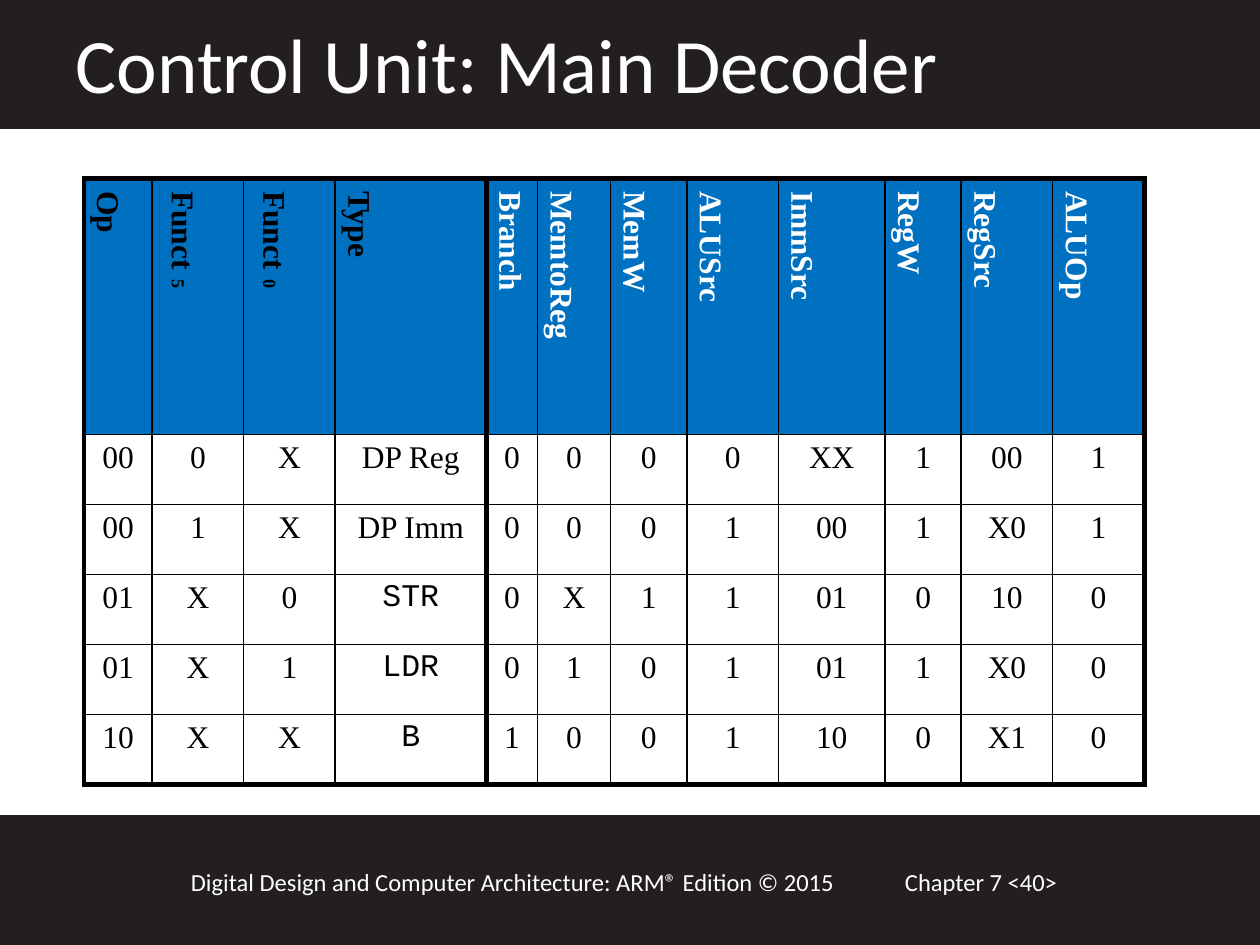
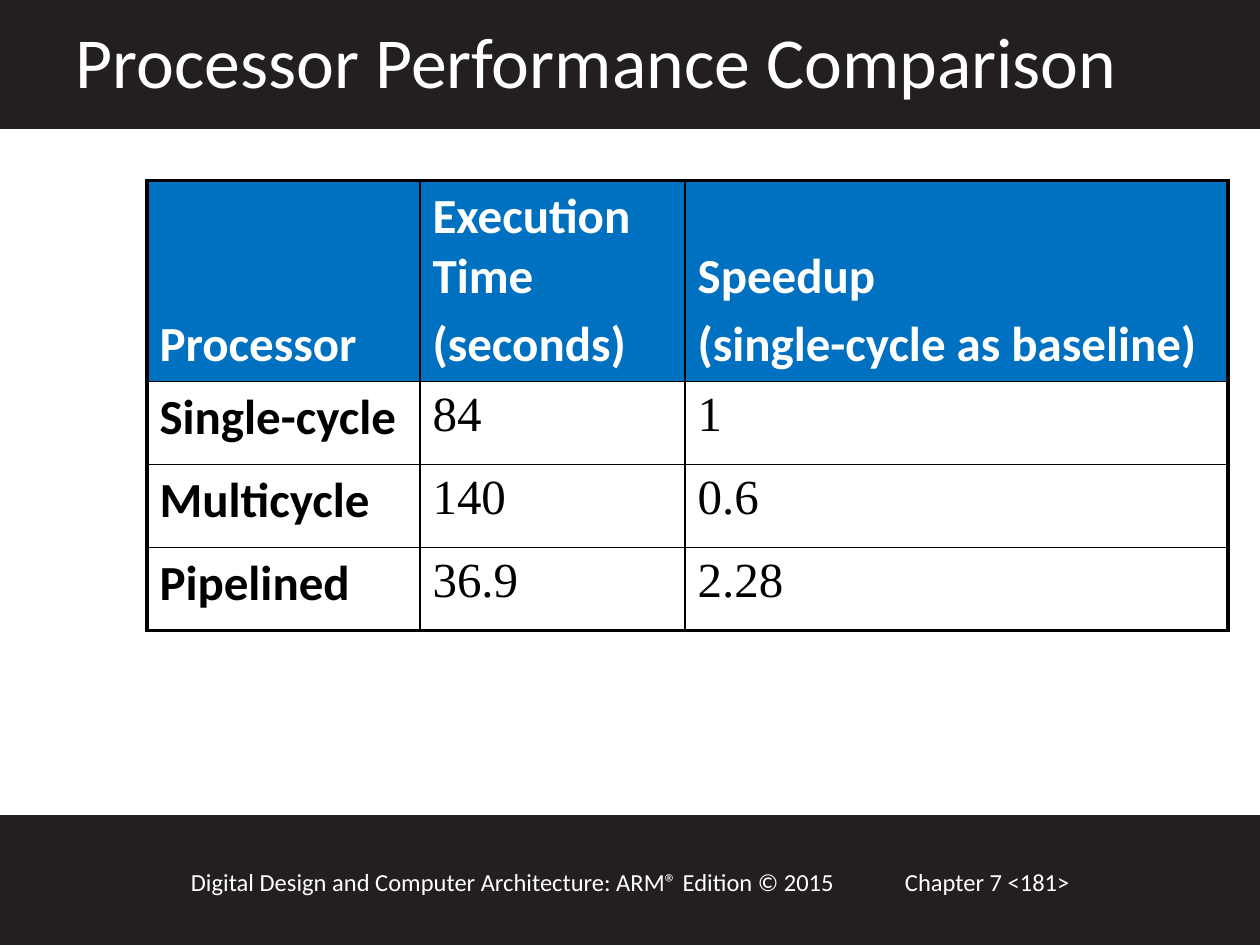
from lxml.etree import SubElement
from pptx import Presentation
from pptx.dml.color import RGBColor
from pptx.enum.shapes import MSO_SHAPE as Shape
from pptx.enum.text import MSO_ANCHOR as Anchor, PP_ALIGN as Align
from pptx.oxml.ns import qn
from pptx.util import Pt

BAND, WHITE, BLACK, BLUE = "231F20", "FFFFFF", "000000", "0070C0"
SANS, SERIF, MONO = "Calibri", "Times New Roman", "Courier New"
BOOK = "Digital Design and Computer Architecture: ARM® Edition © 2015"
BAND_TOPS = (0, 466.6)
BAND_HEIGHT = 72.7

DECODER = {
    "title": "Control Unit: Main Decoder",
    "title_size": 44,
    "page": 40,
    "corner": (48, 102),
    "widths": (39, 52.3, 52.3, 86.3, 29.3, 41.8, 43.6, 52.3, 61, 43.5, 52.3, 52.3),
    "heights": (146, 40, 40, 40, 40, 40),
    "frame": 3,
    "dividers": (4,),
    "rows": [
        ["Op", "Funct_5", "Funct_0", "Type", "Branch", "MemtoReg", "MemW",
         "ALUSrc", "ImmSrc", "RegW", "RegSrc", "ALUOp"],
        ["00", "0", "X", "DP Reg", "0", "0", "0", "0", "XX", "1", "00", "1"],
        ["00", "1", "X", "DP Imm", "0", "0", "0", "1", "00", "1", "X0", "1"],
        ["01", "X", "0", "STR", "0", "X", "1", "1", "01", "0", "10", "0"],
        ["01", "X", "1", "LDR", "0", "1", "0", "1", "01", "1", "X0", "0"],
        ["10", "X", "X", "B", "1", "0", "0", "1", "10", "0", "X1", "0"],
    ],
}
INPUT_COLUMNS = 4
MNEMONICS = ("STR", "LDR", "B")

PERFORMANCE = {
    "title": "Processor Performance Comparison",
    "title_size": 41,
    "page": 181,
    "corner": (84, 103),
    "widths": (156, 151.5, 310.3),
    "heights": (91.5, 47.5, 47.5, 47.5),
    "frame": 2.25,
    "dividers": (),
    "rows": [
        ["Processor", "Execution Time\n(seconds)", "Speedup\n(single-cycle as baseline)"],
        ["Single-cycle", "84", "1"],
        ["Multicycle", "140", "0.6"],
        ["Pipelined", "36.9", "2.28"],
    ],
}


def rgb(color):
    return RGBColor.from_string(color)


def add_run(paragraph, text, size, font, color, bold=False):
    run = paragraph.add_run()
    run.text = text
    run.font.size = Pt(size)
    run.font.name = font
    run.font.bold = bold
    run.font.color.rgb = rgb(color)
    return run


def add_band(slide, top):
    band = slide.shapes.add_shape(Shape.RECTANGLE, 0, Pt(top), Pt(720), Pt(BAND_HEIGHT))
    band.shadow.inherit = False
    band.fill.solid()
    band.fill.fore_color.rgb = rgb(BAND)
    band.line.color.rgb = rgb(BAND)
    band.line.width = Pt(2)


def add_footer(slide, text, left, width):
    footer = slide.shapes.add_textbox(Pt(left), Pt(491.8), Pt(width), Pt(24.2))
    footer.text_frame.word_wrap = True
    add_run(footer.text_frame.paragraphs[0], text, 14, SANS, WHITE)


def add_slide(deck, content):
    slide = deck.slides.add_slide(deck.slide_layouts[5])
    for top in BAND_TOPS:
        add_band(slide, top)
    add_footer(slide, f"Chapter 7 <{content['page']}>", 510, 156)
    add_footer(slide, BOOK, 102, 414)
    title = slide.shapes.title
    slide.shapes.element.append(title.element)
    title.left, title.top, title.width, title.height = Pt(36), Pt(6), Pt(624), Pt(60)
    title.text_frame.vertical_anchor = Anchor.TOP
    heading = title.text_frame.paragraphs[0]
    heading.alignment = Align.LEFT
    add_run(heading, content["title"], content["title_size"], SANS, WHITE)
    return slide


def set_border(cell, side, width):
    line = SubElement(cell._tc.get_or_add_tcPr(), qn(f"a:ln{side}"), w=str(Pt(width)))
    SubElement(SubElement(line, qn("a:solidFill")), qn("a:srgbClr"), val=BLACK)


def add_grid(slide, content, write_cell):
    rows, widths, heights = content["rows"], content["widths"], content["heights"]
    left, top = content["corner"]
    grid = slide.shapes.add_table(len(rows), len(widths), Pt(left), Pt(top),
                                  Pt(sum(widths)), Pt(sum(heights))).table
    grid.first_row = grid.horz_banding = False
    for column, width in zip(grid.columns, widths):
        column.width = Pt(width)
    for row, height in zip(grid.rows, heights):
        row.height = Pt(height)
    thick_x = {0, len(widths), *content["dividers"]}
    thick_y = {0, len(rows)}
    for r, row in enumerate(rows):
        for c, text in enumerate(row):
            cell = grid.cell(r, c)
            for side, thick in (("L", c in thick_x), ("R", c + 1 in thick_x),
                                ("T", r in thick_y), ("B", r + 1 in thick_y)):
                set_border(cell, side, content["frame"] if thick else 1)
            if r == 0:
                cell.fill.solid()
                cell.fill.fore_color.rgb = rgb(BLUE)
            else:
                cell.fill.background()
            write_cell(cell, text, r, c)


def write_decoder_cell(cell, text, r, c):
    paragraph = cell.text_frame.paragraphs[0]
    properties = paragraph._p.get_or_add_pPr()
    properties.set("marL", str(Pt(27)))
    properties.set("indent", str(Pt(-27)))
    if r:
        paragraph.alignment = Align.CENTER
        add_run(paragraph, text, 18, MONO if text in MNEMONICS else SERIF, BLACK)
        return
    cell._tc.get_or_add_tcPr().set("vert", "vert")
    color = BLACK if c < INPUT_COLUMNS else WHITE
    signal, _, bit = text.partition("_")
    add_run(paragraph, signal, 18, SERIF, color, True)
    if bit:
        subscript = add_run(paragraph, bit, 18, SERIF, color, True)
        subscript.font._element.set("baseline", "-30000")


def write_performance_cell(cell, text, r, c):
    if r == 0:
        cell.vertical_anchor = Anchor.BOTTOM
    label = r == 0 or c == 0
    for i, line in enumerate(text.split("\n")):
        paragraph = cell.text_frame.add_paragraph() if i else cell.text_frame.paragraphs[0]
        if i:
            paragraph.space_before = Pt(5)
        add_run(paragraph, line, 28, SANS if label else SERIF, BLACK if r else WHITE, label)


def main():
    deck = Presentation()
    deck.slide_width, deck.slide_height = Pt(720), Pt(540)
    for content, write_cell in ((DECODER, write_decoder_cell),
                                (PERFORMANCE, write_performance_cell)):
        add_grid(add_slide(deck, content), content, write_cell)
    deck.save("out.pptx")


if __name__ == "__main__":
    main()
